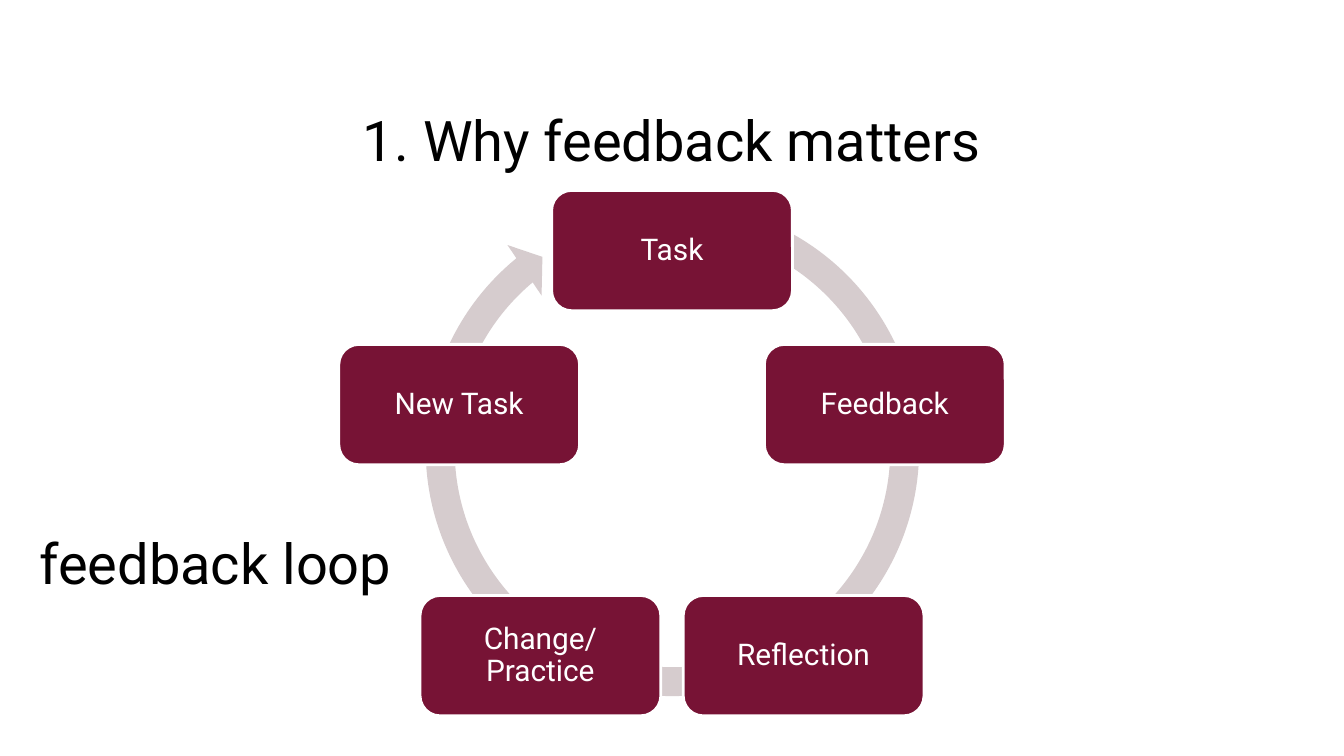
from math import cos, radians, sin

from pptx import Presentation
from pptx.dml.color import RGBColor
from pptx.enum.shapes import MSO_SHAPE as Shape
from pptx.enum.text import MSO_ANCHOR as Anchor, MSO_AUTO_SIZE as Fit, PP_ALIGN as Align
from pptx.util import Pt

SCALE = 6350
FONT = "Roboto"
STEPS = ["Task", "Feedback", "Reflection", "Change/Practice", "New Task"]
MID_X, MID_Y, RADIUS = 720, 508, 240
BOX_W, BOX_H = 258, 129


def px(*sizes):
    return [round(size) * SCALE for size in sizes]


def color(code):
    return RGBColor.from_string(code)


def write(shape, text, size, code):
    frame = shape.text_frame
    frame.text = text
    frame.word_wrap = True
    frame.auto_size = Fit.NONE
    frame.vertical_anchor = Anchor.MIDDLE
    for para in frame.paragraphs:
        para.alignment = Align.CENTER
        para.line_spacing = 0.9
        for run in para.runs:
            run.font.name = FONT
            run.font.size = Pt(size)
            run.font.color.rgb = color(code)


def add_title(slide, text):
    title = slide.shapes.title
    title.left, title.top, title.width, title.height = px(153, 104, 1134, 99)
    write(title, text, 30, "000000")


def add_label(slide, text):
    label = slide.shapes.add_textbox(*px(0, 557, 462, 99))
    write(label, text, 30, "000000")


def add_ring(slide):
    ring = slide.shapes.add_shape(Shape.CIRCULAR_ARROW, *px(439, 200, 563, 563))
    for index, value in enumerate([5.5 / 100, 3.31, 138.27, 173.55, 5.8 / 100]):
        ring.adjustments[index] = value
    ring.shadow.inherit = False
    ring.fill.solid()
    ring.fill.fore_color.rgb = color("D6CCCE")
    ring.line.fill.background()


def add_step(slide, text, angle):
    left = MID_X + RADIUS * sin(angle) - BOX_W / 2
    top = MID_Y - RADIUS * cos(angle) - BOX_H / 2
    step = slide.shapes.add_shape(Shape.ROUNDED_RECTANGLE, *px(left, top, BOX_W, BOX_H))
    step.shadow.inherit = False
    step.fill.solid()
    step.fill.fore_color.rgb = color("771335")
    step.line.color.rgb = color("FFFFFF")
    step.line.width = Pt(1.5)
    frame = step.text_frame
    frame.margin_left, frame.margin_top, frame.margin_right, frame.margin_bottom = px(10, 10, 10, 10)
    write(step, text, 16, "FFFFFF")


def main():
    deck = Presentation()
    deck.slide_width, deck.slide_height = px(1440, 810)
    slide = deck.slides.add_slide(deck.slide_layouts[5])
    add_title(slide, "1. Why feedback matters")
    add_ring(slide)
    for index, text in enumerate(STEPS):
        add_step(slide, text, radians(index * 360 / len(STEPS)))
    add_label(slide, "feedback loop")
    deck.save("out.pptx")


if __name__ == "__main__":
    main()
